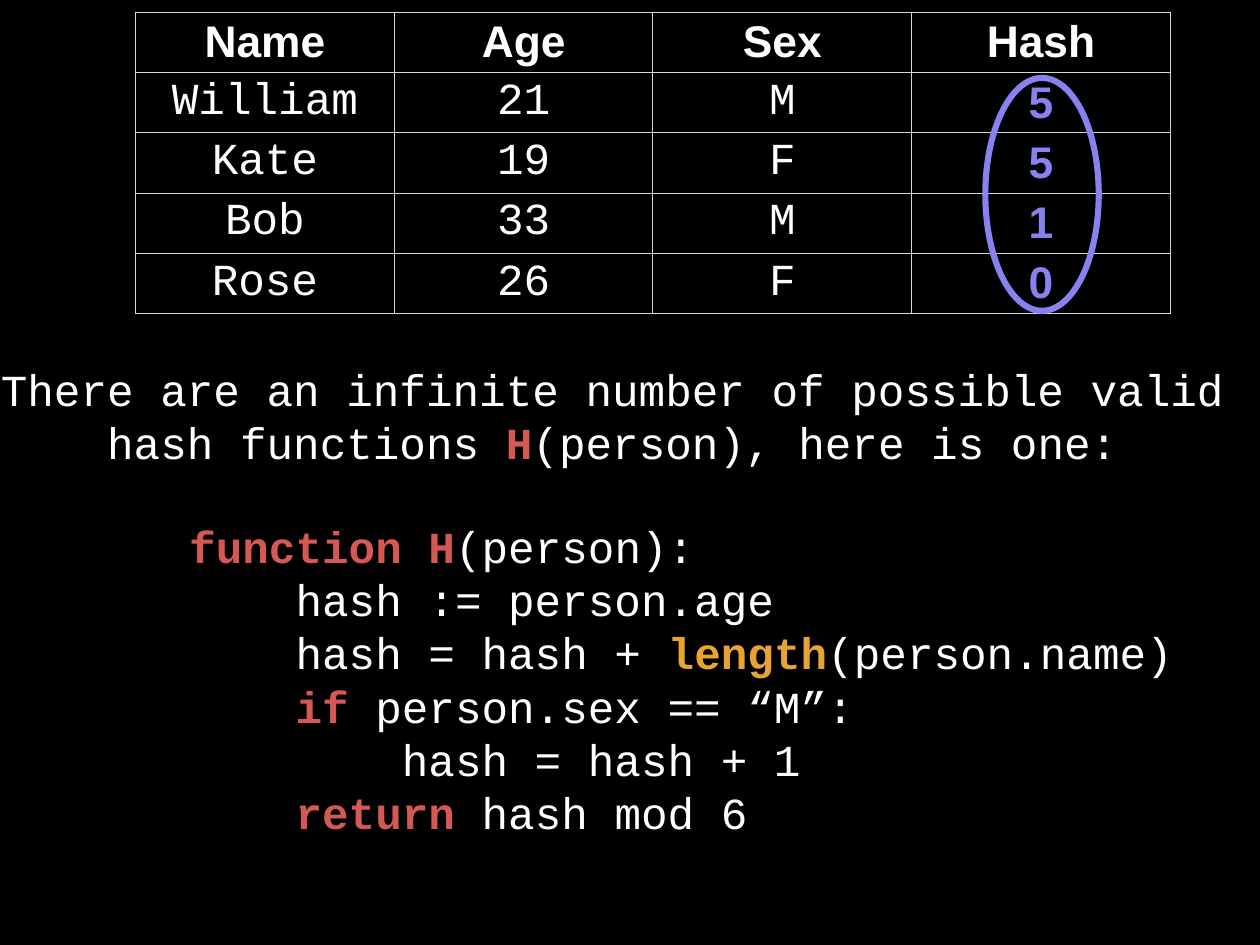
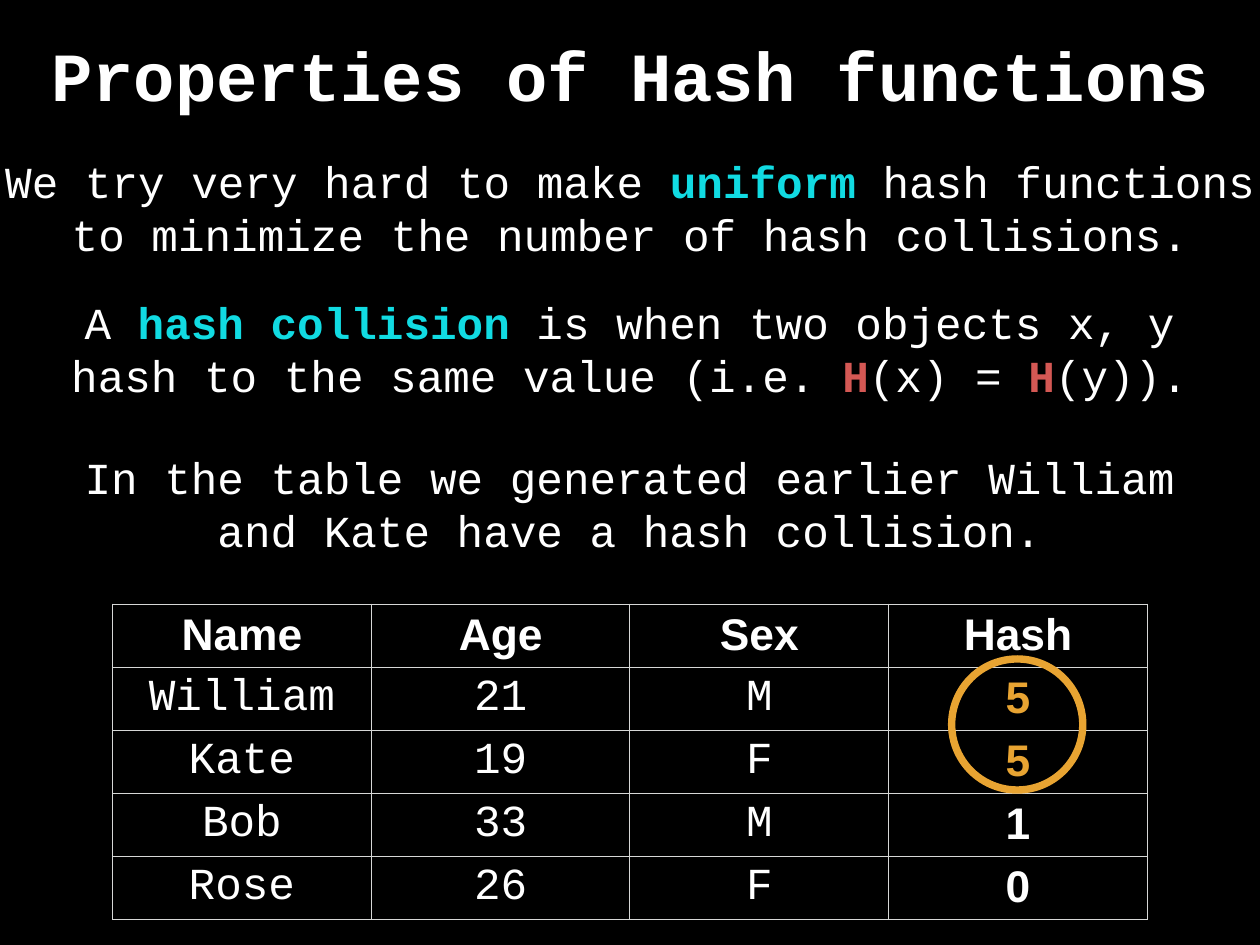
import pptx
import pptx.dml.color
import pptx.enum.shapes
import pptx.enum.text
import pptx.oxml
import pptx.oxml.ns
import pptx.util

Inches = pptx.util.Inches
RGBColor = pptx.dml.color.RGBColor
ALIGN = pptx.enum.text.PP_ALIGN
ANCHOR = pptx.enum.text.MSO_ANCHOR

# Shared style
BLACK = RGBColor(0x00, 0x00, 0x00)
WHITE = RGBColor(0xFF, 0xFF, 0xFF)
RED = RGBColor(0xD4, 0x58, 0x54)
ORANGE = RGBColor(0xE8, 0xA4, 0x32)
CYAN = RGBColor(0x11, 0xDB, 0xE2)
PURPLE = RGBColor(0x89, 0x81, 0xF0)
GRID = RGBColor(0xD6, 0xD7, 0xD6)
MONO, SANS = "Courier New", "Arial"
BODY_SIZE, TITLE_SIZE = 36, 56
INSET = pptx.util.Pt(4)
COLUMN_WIDTH = 2.92

# Content: a plain string is white, a (text, colour) pair is bold
PEOPLE = [
    ("Name", "Age", "Sex", "Hash"),
    ("William", "21", "M", "5"),
    ("Kate", "19", "F", "5"),
    ("Bob", "33", "M", "1"),
    ("Rose", "26", "F", "0"),
]
INTRO = ["There are an infinite number of possible valid hash functions ",
         ("H", RED), "(person), here is one:"]
CODE = [
    [("function H", RED), "(person):"],
    ["    hash := person.age"],
    ["    hash = hash + ", ("length", ORANGE), "(person.name)"],
    ["    ", ("if", RED), " person.sex == “M”:"],
    ["        hash = hash + 1"],
    ["    ", ("return", RED), " hash mod 6"],
]
TITLE = [("Properties of Hash functions", WHITE)]
STATEMENTS = [
    ((-0.26, 1.72, 14.74, 1.25),
     ["We try very hard to make ", ("uniform", CYAN),
      " hash functions to minimize the number of hash collisions."]),
    ((0.71, 3.31, 12.79, 1.25),
     ["A ", ("hash collision", CYAN),
      " is when two objects x, y hash to the same value (i.e. ",
      ("H", RED), "(x) = ", ("H", RED), "(y))."]),
    ((0.71, 5.06, 12.79, 1.25),
     ["In the table we generated earlier William and Kate "
      "have a hash collision."]),
]


def add_black_slide(presentation):
    slide = presentation.slides.add_slide(presentation.slide_layouts[6])
    slide.background.fill.solid()
    slide.background.fill.fore_color.rgb = BLACK
    return slide


def add_text(slide, box, lines, size=BODY_SIZE, align=ALIGN.CENTER,
             anchor=ANCHOR.MIDDLE):
    frame = slide.shapes.add_textbox(*map(Inches, box)).text_frame
    frame.word_wrap = True
    frame.vertical_anchor = anchor
    frame.margin_left = frame.margin_right = INSET
    frame.margin_top = frame.margin_bottom = INSET
    for index, line in enumerate(lines):
        paragraph = frame.add_paragraph() if index else frame.paragraphs[0]
        paragraph.alignment = align
        paragraph.font.name = MONO
        paragraph.font.size = pptx.util.Pt(size)
        for part in line:
            text, colour = (part, WHITE) if isinstance(part, str) else part
            run = paragraph.add_run()
            run.text = text
            run.font.bold = not isinstance(part, str)
            run.font.color.rgb = colour


def set_borders(cell):
    properties = cell._tc.get_or_add_tcPr()
    for position, side in enumerate(("lnL", "lnR", "lnT", "lnB")):
        properties.insert(position, pptx.oxml.parse_xml(
            f'<a:{side} {pptx.oxml.ns.nsdecls("a")} w="12700"><a:solidFill>'
            f'<a:srgbClr val="{GRID}"/></a:solidFill></a:{side}>'))


def add_people_table(slide, left, top, row_height, marked_rows, mark_colour):
    rows, columns = len(PEOPLE), len(PEOPLE[0])
    table = slide.shapes.add_table(
        rows, columns, Inches(left), Inches(top),
        Inches(COLUMN_WIDTH * columns), Inches(row_height * rows)).table
    for column in table.columns:
        column.width = Inches(COLUMN_WIDTH)
    for row_index, person in enumerate(PEOPLE):
        table.rows[row_index].height = Inches(row_height)
        for column_index, value in enumerate(person):
            is_hash = column_index == columns - 1
            strong = row_index == 0 or is_hash
            marked = is_hash and row_index in marked_rows
            cell = table.cell(row_index, column_index)
            cell.fill.background()
            cell.vertical_anchor = ANCHOR.MIDDLE
            cell.margin_left = cell.margin_right = INSET
            cell.margin_top = cell.margin_bottom = INSET
            set_borders(cell)
            cell.text = value
            paragraph = cell.text_frame.paragraphs[0]
            paragraph.alignment = ALIGN.CENTER
            font = paragraph.runs[0].font
            font.name = SANS if strong else MONO
            font.size = pptx.util.Pt(BODY_SIZE)
            font.bold = strong
            font.color.rgb = mark_colour if marked else WHITE


def add_ring(slide, box, colour, width):
    ring = slide.shapes.add_shape(
        pptx.enum.shapes.MSO_SHAPE.OVAL, *map(Inches, box))
    ring.shadow.inherit = False
    ring.fill.background()
    ring.line.color.rgb = colour
    ring.line.width = pptx.util.Pt(width)


def main():
    presentation = pptx.Presentation()
    presentation.slide_width = Inches(14.22)
    presentation.slide_height = Inches(10.67)

    # Hash function example
    slide = add_black_slide(presentation)
    add_people_table(slide, 1.53, 0.14, 0.68, (1, 2, 3, 4), PURPLE)
    add_text(slide, (-0.09, 4.06, 14, 1.25), [INTRO])
    add_text(slide, (2.08, 5.81, 11.56, 4.1), CODE,
             align=ALIGN.LEFT, anchor=ANCHOR.TOP)
    add_ring(slide, (11.12, 0.88, 1.28, 2.63), PURPLE, 5)

    # Hash collisions
    slide = add_black_slide(presentation)
    add_text(slide, (0.49, 0.13, 13.25, 1.42), [TITLE], TITLE_SIZE)
    for box, statement in STATEMENTS:
        add_text(slide, box, [statement])
    add_people_table(slide, 1.27, 6.82, 0.71, (1, 2), ORANGE)
    add_ring(slide, (10.74, 7.44, 1.48, 1.48), ORANGE, 6)

    presentation.save("out.pptx")


if __name__ == "__main__":
    main()
